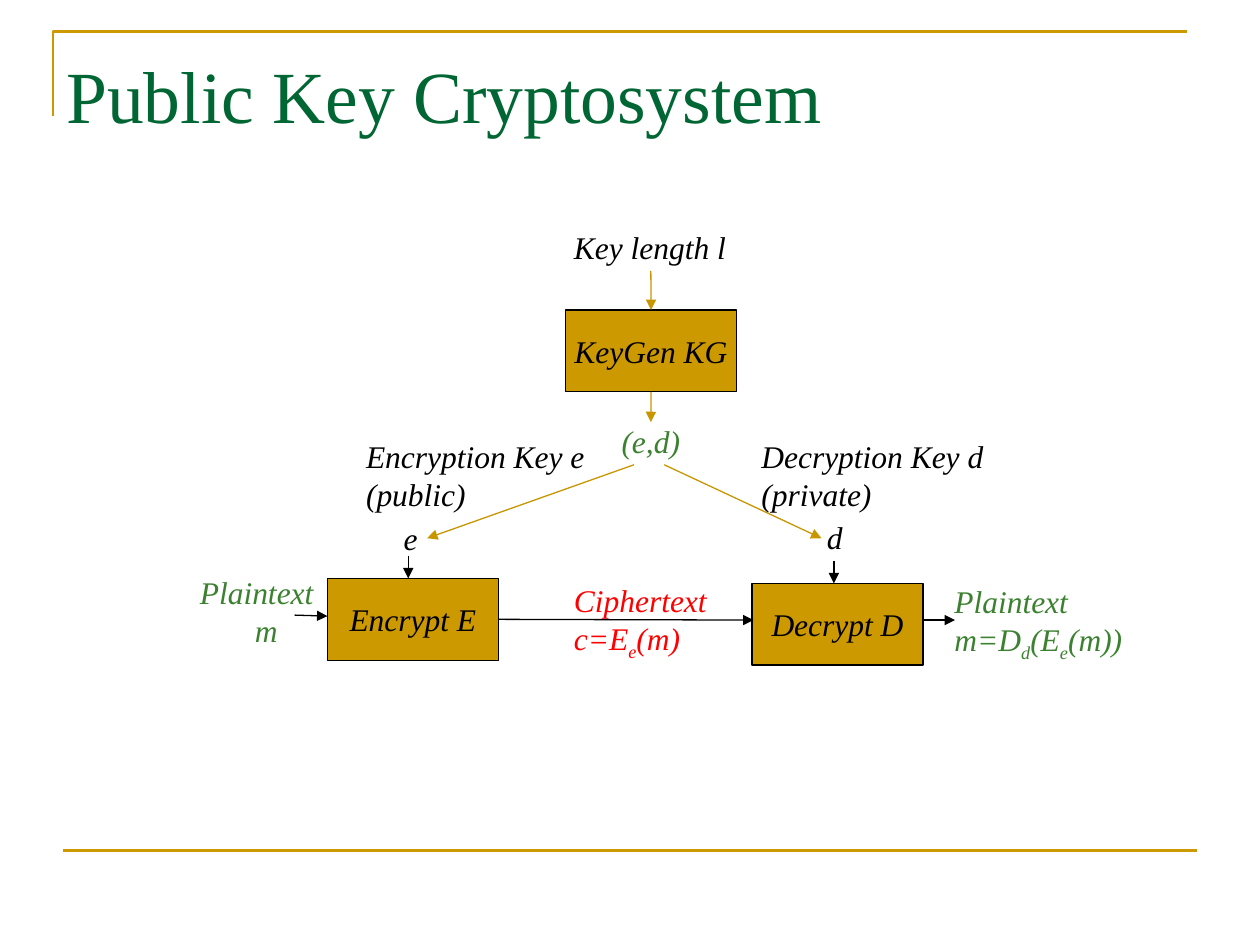
from lxml import etree
from pptx import Presentation
from pptx import util as u
from pptx.dml.color import RGBColor
from pptx.enum import shapes, text
from pptx.oxml import ns

BLACK, GOLD, ARROW_GOLD = "000000", "CC9900", "C89600"
GREEN, RED, TITLE_GREEN = "3B812F", "FF0000", "006633"
TOP, BOTTOM, RIGHT = 0, 2, 3


def colour(value):
    return RGBColor.from_string(value)


class Diagram:
    """Holds the shared style and the page being drawn; lengths are in cm."""

    font = "Times New Roman"
    size = 18
    box_size = (3.45, 1.65)
    line_height = 0.76
    inset_x, inset_y = 0.19, 0.1

    def __init__(self, page):
        self.page = page

    def style_line(self, line, value, width):
        line.color.rgb = colour(value)
        line.width = u.Pt(width)

    def style_spans(self, frame, value, size, italic=True):
        for para in frame.paragraphs:
            for span in para.runs:
                span.font.name = self.font
                span.font.size = u.Pt(size)
                span.font.italic = italic
                span.font.color.rgb = colour(value)

    def set_insets(self, frame):
        frame.margin_left = frame.margin_right = u.Cm(self.inset_x)
        frame.margin_top = frame.margin_bottom = u.Cm(self.inset_y)

    def title(self, wording, left, top, width, height):
        box = self.page.shapes.add_textbox(*map(u.Cm, (left, top, width, height)))
        frame = box.text_frame
        frame.word_wrap = True
        frame.vertical_anchor = text.MSO_ANCHOR.BOTTOM
        frame.text = wording
        self.style_spans(frame, TITLE_GREEN, 42, italic=False)

    def corner(self, *points):
        """Draw an open gold outline through the points."""
        start, *rest = [tuple(map(u.Cm, point)) for point in points]
        builder = self.page.shapes.build_freeform(*start)
        builder.add_line_segments(rest, close=False)
        outline = builder.convert_to_shape()
        outline.shadow.inherit = False
        outline.fill.background()
        self.style_line(outline.line, GOLD, 1.5)

    def box(self, wording, left, top):
        box = self.page.shapes.add_shape(
            shapes.MSO_SHAPE.RECTANGLE, *map(u.Cm, (left, top, *self.box_size)))
        box.shadow.inherit = False
        box.fill.solid()
        box.fill.fore_color.rgb = colour(GOLD)
        self.style_line(box.line, BLACK, 0.75)
        frame = box.text_frame
        frame.word_wrap = False
        frame.vertical_anchor = text.MSO_ANCHOR.MIDDLE
        self.set_insets(frame)
        frame.text = wording
        frame.paragraphs[0].alignment = text.PP_ALIGN.CENTER
        self.style_spans(frame, BLACK, self.size)
        return box

    def label(self, wording, left, top, width, value=BLACK):
        """Add free text; underscores enclose subscripts, \\v breaks a line."""
        lines = len(wording.splitlines())
        height = lines * self.line_height + 2 * self.inset_y
        box = self.page.shapes.add_textbox(*map(u.Cm, (left, top, width, height)))
        frame = box.text_frame
        frame.word_wrap = False
        frame.auto_size = text.MSO_AUTO_SIZE.SHAPE_TO_FIT_TEXT
        self.set_insets(frame)
        plain, *pieces = wording.split("_")
        frame.text = plain
        for index, piece in enumerate(pieces):
            span = frame.paragraphs[-1].add_run()
            span.text = piece
            if index % 2 == 0:
                span.font._element.set("baseline", "-25000")
        self.style_spans(frame, value, self.size)
        return frame

    def line(self, start, end, value=GOLD, width=1.5):
        line = self.page.shapes.add_connector(
            shapes.MSO_CONNECTOR.STRAIGHT, *map(u.Cm, (*start, *end)))
        self.style_line(line.line, value, width)
        etree.SubElement(line._element.spPr, ns.qn("a:effectLst"))
        return line

    def arrow(self, start, end, value=BLACK, leaves=None, reaches=None):
        """Draw an arrow; leaves and reaches are (box, side) pairs to join."""
        arrow = self.line(start, end, value, 0.75)
        outline = arrow.line._get_or_add_ln()
        etree.SubElement(outline, ns.qn("a:tailEnd"), type="triangle")
        if leaves:
            arrow.begin_connect(*leaves)
        if reaches:
            arrow.end_connect(*reaches)


def main():
    deck = Presentation()
    deck.slide_width, deck.slide_height = u.Cm(25.4), u.Cm(19.05)
    diagram = Diagram(deck.slides.add_slide(deck.slide_layouts[6]))

    diagram.corner((1.07, 2.34), (1.07, 0.64), (23.93, 0.64))
    diagram.line((1.27, 17.15), (24.13, 17.15))
    diagram.title("Public Key Cryptosystem", 1.09, 0.76, 23.04, 2.16)

    encrypt = diagram.box("Encrypt E", 6.6, 11.66)
    diagram.box("Decrypt D", 15.16, 11.76)
    keygen = diagram.box("KeyGen KG", 11.4, 6.25)

    plaintext = diagram.label("Plaintext\nm", 3.84, 11.46, 2.69, GREEN)
    plaintext.paragraphs[1]._p.get_or_add_pPr().set("marL", str(u.Cm(1.11)))
    for label in (
        ("Plaintext\vm=D_d_(E_e_(m))", 19.05, 11.63, 3.86, GREEN),
        ("Ciphertext\vc=E_e_(m)", 11.38, 11.61, 3.07, RED),
        ("Key length l", 11.38, 4.5, 3.48),
        ("(e,d)", 12.34, 8.41, 1.57, GREEN),
        ("Encryption Key e\n(public)", 7.19, 8.71, 4.83),
        ("Decryption Key d\n(private)", 15.16, 8.71, 4.9),
        ("e", 7.95, 10.36, 0.66),
        ("d", 16.48, 10.34, 0.71),
    ):
        diagram.label(*label)

    diagram.arrow((13.12, 5.46), (13.12, 6.25), ARROW_GOLD, reaches=(keygen, TOP))
    diagram.arrow((13.12, 7.9), (13.12, 8.51), ARROW_GOLD, leaves=(keygen, BOTTOM))
    diagram.arrow((12.78, 9.37), (8.61, 10.85), ARROW_GOLD)
    diagram.arrow((13.39, 9.37), (16.56, 10.85), ARROW_GOLD)
    diagram.arrow((8.23, 11.2), (8.23, 11.66))
    diagram.arrow((16.81, 11.3), (16.81, 11.76))
    diagram.arrow((5.94, 12.4), (6.6, 12.42))
    diagram.arrow((10.05, 12.49), (15.19, 12.5), leaves=(encrypt, RIGHT))
    diagram.arrow((18.62, 12.5), (19.25, 12.5))

    deck.save("out.pptx")


if __name__ == "__main__":
    main()
